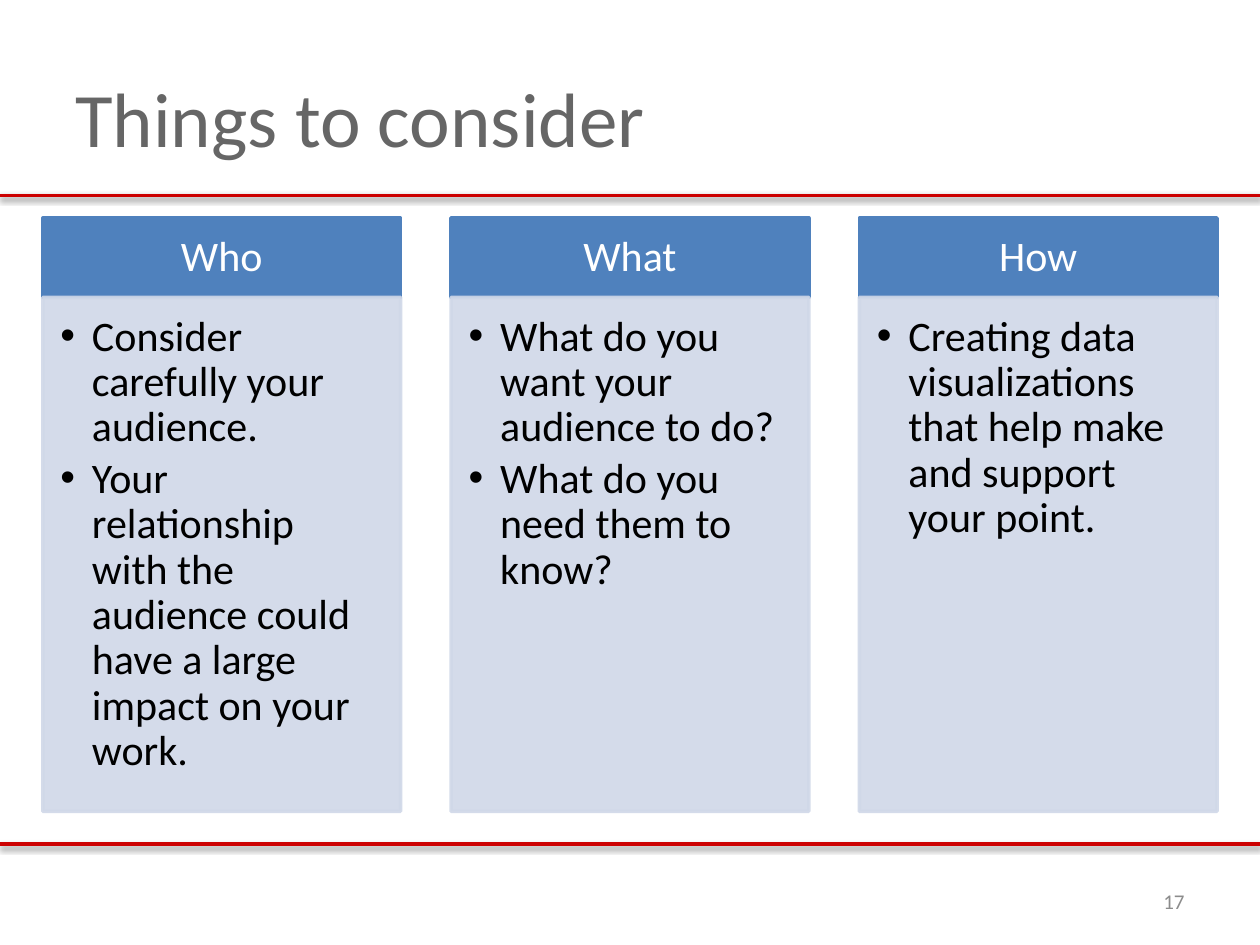
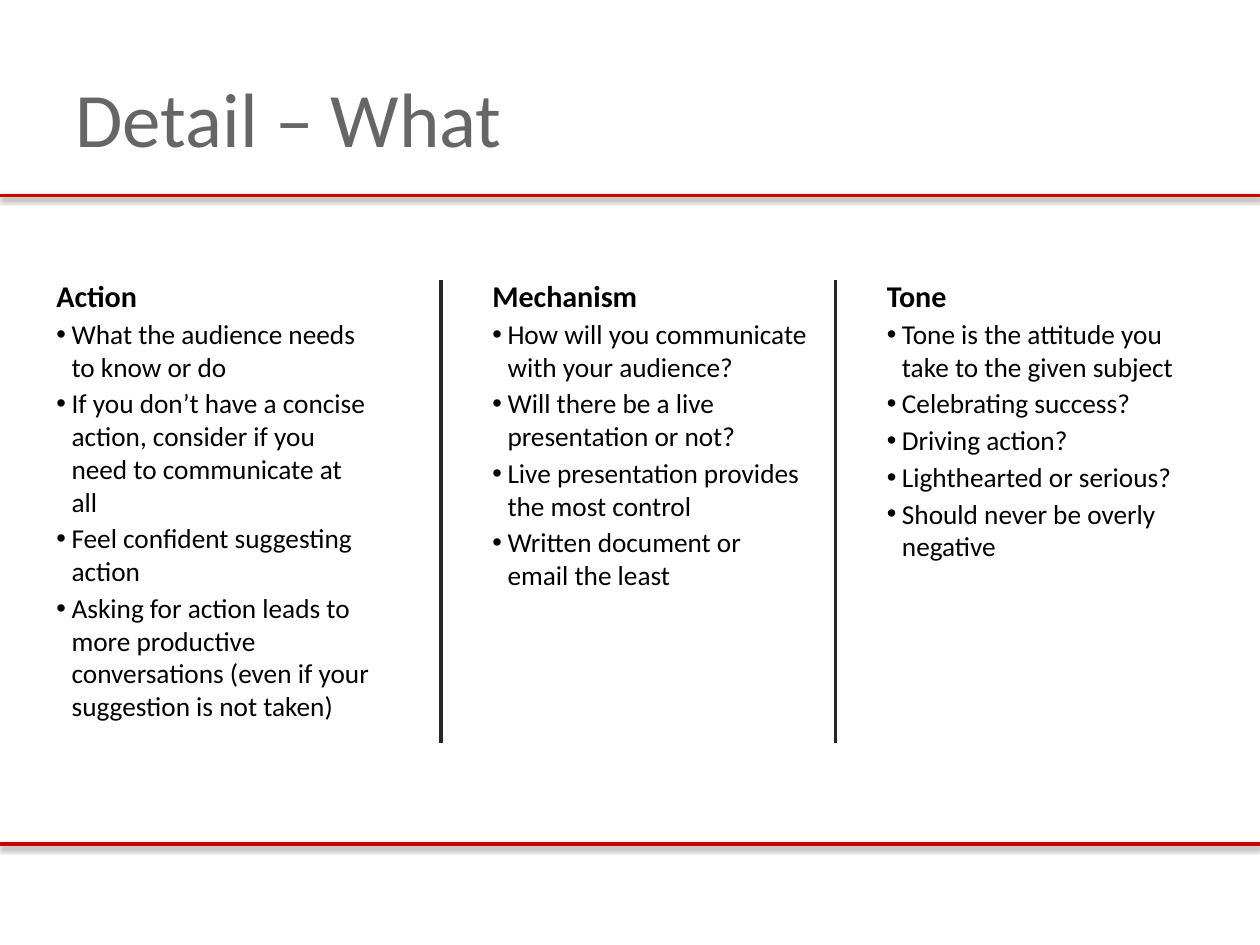
from lxml import etree
from pptx import Presentation
from pptx.dml.color import RGBColor
from pptx.enum import shapes, text
from pptx.oxml import ns
from pptx.util import Inches, Pt

RED = RGBColor(0xCC, 0x00, 0x00)
GREY = RGBColor(0x66, 0x66, 0x66)
PALE = RGBColor(0x8C, 0x8C, 0x8C)
BLUE = RGBColor(0x4F, 0x81, 0xBD)
MIST = RGBColor(0xD0, 0xD8, 0xE8)
DARK = RGBColor(0x26, 0x26, 0x26)
BLACK = RGBColor(0, 0, 0)
WHITE = RGBColor(255, 255, 255)

FACE = "Calibri"
WIDE, HIGH = 10, 7.5
RULES = (6.7, 1.55)
INSET = (0.1, 0.05, 0.1, 0.05)
SIDES = ("margin_left", "margin_top", "margin_right", "margin_bottom")

CARDS = [
    ("Who", ["Consider carefully your audience.",
             "Your relationship with the audience could have a large "
             "impact on your work."]),
    ("What", ["What do you want your audience to do?",
              "What do you need them to know?"]),
    ("How", ["Creating data visualizations that help make and support "
             "your point."]),
]
NOTES = [
    (0.35, "Action", [
        "What the audience needs to know or do",
        "If you don’t have a concise action, consider if you need to "
        "communicate at all",
        "Feel confident suggesting action",
        "Asking for action leads to more productive conversations "
        "(even if your suggestion is not taken)"]),
    (3.81, "Mechanism", [
        "How will you communicate with your audience?",
        "Will there be a live presentation or not?",
        "Live presentation provides the most control",
        "Written document or email the least"]),
    (6.94, "Tone", [
        "Tone is the attitude you take to the given subject",
        "Celebrating success?",
        "Driving action?",
        "Lighthearted or serious?",
        "Should never be overly negative"]),
]


def apply(item, values):
    for name, value in values.items():
        setattr(item, name, value)


def add(parent, tag, **attrs):
    return etree.SubElement(parent, ns.qn(tag), attrs)


def fade(shape, share):
    for color in list(shape._element.spPr.iter(ns.qn("a:srgbClr"))):
        add(color, "a:alpha", val=str(share * 1000))


def prepare(shape, inset=INSET, anchor=text.MSO_ANCHOR.TOP):
    frame = shape.text_frame
    apply(frame, {"word_wrap": True, "vertical_anchor": anchor})
    apply(frame, dict(zip(SIDES, map(Inches, inset))))
    return frame


def write(frame, words, size, color, indent=0, bold=False, **layout):
    para = frame.paragraphs[0]
    if para.runs:
        para = frame.add_paragraph()
    if indent:
        props = para._p.get_or_add_pPr()
        props.set("marL", str(Inches(indent)))
        props.set("indent", str(-Inches(indent)))
        add(props, "a:buFont", typeface="Arial")
        add(props, "a:buChar", char="•")
    apply(para, {"alignment": text.PP_ALIGN.LEFT, **layout})
    run = para.add_run()
    run.text = words
    apply(run.font, {"name": FACE, "size": Pt(size), "bold": bold})
    run.font.color.rgb = color


def add_box(slide, box, **frame):
    return prepare(slide.shapes.add_textbox(*map(Inches, box)), **frame)


def add_rect(slide, box, color, **frame):
    rect = slide.shapes.add_shape(shapes.MSO_SHAPE.RECTANGLE,
                                  *map(Inches, box))
    rect.shadow.inherit = False
    rect.fill.solid()
    rect.fill.fore_color.rgb = color
    rect.line.color.rgb = color
    rect.line.width = Pt(2)
    return rect, prepare(rect, **frame)


def add_line(slide, ends, color, shaded=False):
    line = slide.shapes.add_connector(shapes.MSO_CONNECTOR.STRAIGHT,
                                      *map(Inches, ends))
    line.line.color.rgb = color
    line.line.width = Pt(2)
    effects = add(line._element.spPr, "a:effectLst")
    if shaded:
        shade = add(effects, "a:outerShdw", blurRad=str(Pt(3.1)),
                    dist=str(Pt(1.6)), dir="5400000", rotWithShape="0")
        add(add(shade, "a:srgbClr", val="000000"), "a:alpha", val="38000")


def add_page(deck, title):
    slide = deck.slides.add_slide(deck.slide_layouts[6])
    for y in RULES:
        add_line(slide, (0, y, WIDE, y), RED, shaded=True)
    frame = add_box(slide, (0.5, 0.3, 9, 1.25),
                    anchor=text.MSO_ANCHOR.MIDDLE)
    write(frame, title, 44, GREY)
    return slide


def add_number(slide, box, number):
    frame = add_box(slide, box, anchor=text.MSO_ANCHOR.MIDDLE)
    write(frame, number, 12, PALE, alignment=text.PP_ALIGN.RIGHT)


def add_card(slide, box, head, points):
    x, y, w, h = box
    top = 0.63
    _, frame = add_rect(slide, (x, y, w, top), BLUE,
                        inset=(0.19, 0.11, 0.19, 0.11),
                        anchor=text.MSO_ANCHOR.MIDDLE)
    write(frame, head, 24, WHITE, alignment=text.PP_ALIGN.CENTER,
          line_spacing=0.9)
    body, frame = add_rect(slide, (x, y + top, w, h - top), MIST,
                           inset=(0.14, 0.14, 0.19, 0.21))
    fade(body, 90)
    for point in points:
        write(frame, point, 24, BLACK, indent=0.25, line_spacing=0.9,
              space_after=Pt(3.6))


def add_note(slide, box, head, points):
    frame = add_box(slide, box)
    gap = Pt(2.3)
    write(frame, head, 17.2, BLACK, bold=True, space_after=gap)
    for point in points:
        write(frame, point, 15.6, BLACK, indent=0.12, space_after=gap)


def add_things(deck):
    slide = add_page(deck, "Things to consider")
    add_number(slide, (7.17, 6.95, 2.33, 0.4), "17")
    left, width, gap = 0.34, 2.84, 0.4
    for i, (head, points) in enumerate(CARDS):
        x = left + i * (width + gap)
        add_card(slide, (x, 1.73, width, 4.71), head, points)


def add_detail(deck):
    slide = add_page(deck, "Detail – What")
    for i, (x, head, points) in enumerate(NOTES):
        add_note(slide, (x, 2.15, 2.7, 3.66), head, points)
        if i:
            edge = x - 0.31
            add_line(slide, (edge, 2.22, edge, 5.9), DARK)


def main():
    deck = Presentation()
    apply(deck, {"slide_width": Inches(WIDE), "slide_height": Inches(HIGH)})
    add_things(deck)
    add_detail(deck)
    deck.save("out.pptx")


if __name__ == "__main__":
    main()
